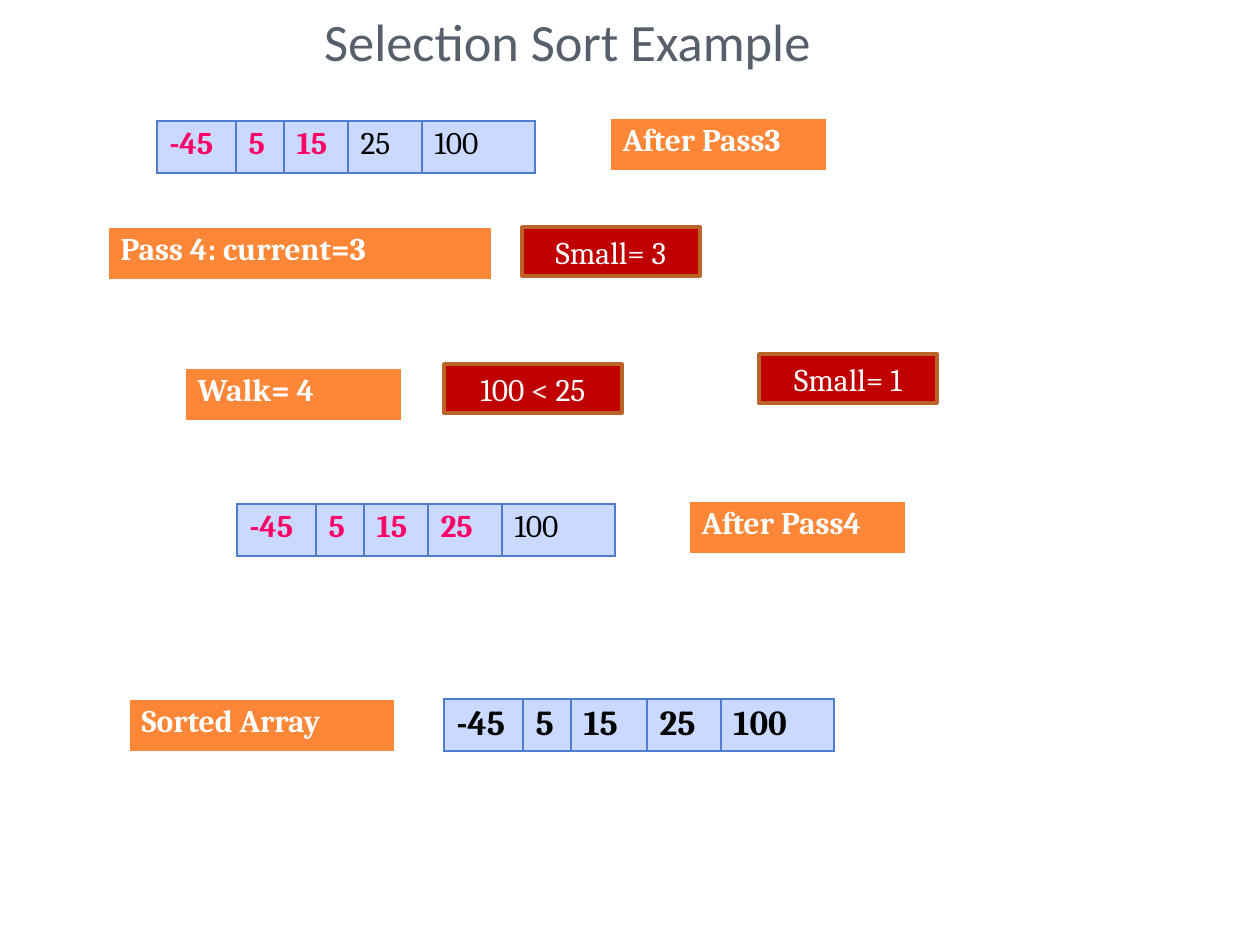
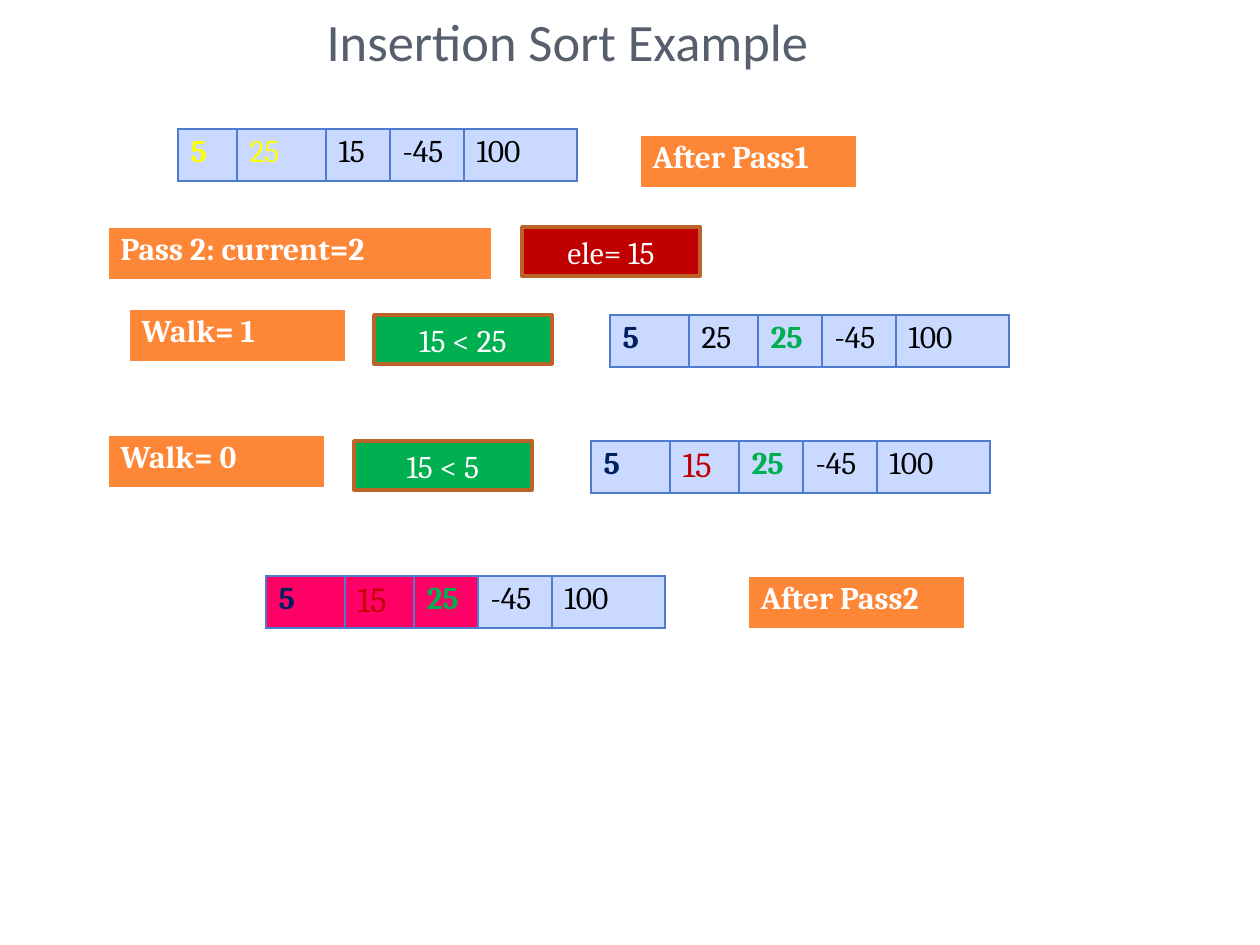
from lxml.etree import SubElement
from pptx import Presentation
from pptx.dml.color import RGBColor as Rgb
from pptx.enum.shapes import MSO_SHAPE as Shape
from pptx.enum.text import MSO_ANCHOR as Anchor, PP_ALIGN as Align
from pptx.oxml.ns import qn
from pptx.util import Inches, Pt

COLORS = {
    "title": "575F6D", "label": "FE8637", "white": "FFFFFF", "black": "000000",
    "red": "C00000", "green": "00B050", "brown": "BB6328", "cell": "CAD9FF",
    "grid": "4F7CCE", "pink": "FF0066", "yellow": "FFFF00", "navy": "002060",
}
PX_PER_INCH = 126
LABEL_HEIGHT, ARRAY_HEIGHT = 54, 52
BOX_WIDTH, BOX_HEIGHT = 178, 49
LABEL_WIDTH, PASS_WIDTH, SORTED_WIDTH = 217, 384, 266

SELECTION_COLUMNS = (79, 48, 64, 74, 113)
FINAL_COLUMNS = (79, 48, 76, 74, 113)
FIRST_COLUMNS = (59, 89, 64, 74, 113)
INSERTION_COLUMNS = (79, 69, 64, 74, 113)

PLAIN = {"color": "black"}
FINAL = {"color": "black", "bold": True, "size": 20}
PLACED = {"color": "pink", "bold": True}
FIRST = {"color": "yellow", "bold": True}
SECOND = {"color": "yellow"}
KEPT = {"color": "navy", "bold": True}
INSERTED = {"color": "red", "size": 20}
SHIFTED = {"color": "green", "bold": True}


def px(length):
    """Turn pixels into EMU."""
    return round(Inches(length / PX_PER_INCH))


def rgb(name):
    """Look up a colour by name."""
    return Rgb.from_string(COLORS[name])


def write(frame, text, color="white", size=18, bold=False, font="Cambria",
          align=Align.LEFT, spacing=None):
    """Put one formatted paragraph into a text frame."""
    para = frame.paragraphs[0]
    para.alignment = align
    para.line_spacing = spacing
    span = para.add_run()
    span.text = text
    span.font.name, span.font.size, span.font.bold = font, Pt(size), bold
    span.font.color.rgb = rgb(color)


def add_borders(cell, color, bottom):
    """Draw the four sides of a table cell."""
    properties = cell._tc.get_or_add_tcPr()
    for side in "LRTB":
        width = bottom if side == "B" else 0.96
        line = SubElement(properties, qn(f"a:ln{side}"), w=str(Pt(width)))
        fill = SubElement(line, qn("a:solidFill"))
        SubElement(fill, qn("a:srgbClr"), val=COLORS[color])


class SortDeck:
    """Holds the deck, its style and the current page."""

    def __init__(self):
        """Start an empty deck."""
        self.deck = Presentation()
        self.deck.slide_width, self.deck.slide_height = Inches(10), Inches(7.5)
        self.page = None

    def add_page(self, title):
        """Add a page with its title."""
        self.page = self.deck.slides.add_slide(self.deck.slide_layouts[6])
        frame = self.page.shapes.add_textbox(px(59), 0, px(1029), px(81)).text_frame
        frame.word_wrap = True
        frame.vertical_anchor = Anchor.MIDDLE
        write(frame, title, color="title", size=30, font="Calibri", align=Align.CENTER)

    def add_row(self, left, top, height, columns, cells, border, bottom=0.96):
        """Add a one-row table from (text, format, fill) cells."""
        table = self.page.shapes.add_table(
            1, len(columns), px(left), px(top), px(sum(columns)), px(height)).table
        table.first_row = table.horz_banding = False
        for index, (width, (text, style, fill)) in enumerate(zip(columns, cells)):
            table.columns[index].width = px(width)
            cell = table.cell(0, index)
            add_borders(cell, border, bottom)
            cell.fill.solid()
            cell.fill.fore_color.rgb = rgb(fill)
            write(cell.text_frame, text, spacing=0.93, **style)

    def add_label(self, left, top, text, width=LABEL_WIDTH):
        """Add an orange step label."""
        self.add_row(left, top, LABEL_HEIGHT, (width,),
                     [(text, {"bold": True}, "label")], "white", bottom=3)

    def add_array(self, left, top, columns, values, styles, highlighted=0):
        """Add an array; values without a style of their own are plain."""
        styles = list(styles) + [PLAIN] * (len(values) - len(styles))
        cells = [(str(value), style, "pink" if index < highlighted else "cell")
                 for index, (value, style) in enumerate(zip(values, styles))]
        self.add_row(left, top, ARRAY_HEIGHT, columns, cells, "grid")

    def add_box(self, left, top, text, fill="red"):
        """Add a box with a variable or a comparison."""
        box = self.page.shapes.add_shape(
            Shape.RECTANGLE, px(left), px(top), px(BOX_WIDTH), px(BOX_HEIGHT))
        box.shadow.inherit = False
        box.fill.solid()
        box.fill.fore_color.rgb = rgb(fill)
        box.line.color.rgb = rgb("brown")
        box.line.width = Pt(2)
        box.text_frame.word_wrap = True
        box.text_frame.vertical_anchor = Anchor.MIDDLE
        write(box.text_frame, text, align=Align.CENTER)


def add_selection_sort(sort):
    """Build the last pass of the selection sort."""
    values = (-45, 5, 15, 25, 100)
    sort.add_page("Selection Sort Example ")
    sort.add_array(157, 121, SELECTION_COLUMNS, values, [PLACED] * 3)
    sort.add_label(610, 118, "After Pass3")
    sort.add_label(108, 227, "Pass 4: current=3", PASS_WIDTH)
    sort.add_box(522, 227, "Small= 3")
    sort.add_label(185, 368, "Walk= 4")
    sort.add_box(444, 364, "100 < 25")
    sort.add_box(759, 354, "Small= 1")
    sort.add_array(237, 504, SELECTION_COLUMNS, values, [PLACED] * 4)
    sort.add_label(689, 501, "After Pass4")
    sort.add_label(129, 699, "Sorted Array", SORTED_WIDTH)
    sort.add_array(444, 699, FINAL_COLUMNS, values, [FINAL] * 5)


def add_insertion_sort(sort):
    """Build the second pass of the insertion sort."""
    inserted = (5, 15, 25, -45, 100)
    styles = (KEPT, INSERTED, SHIFTED)
    sort.add_page("Insertion Sort Example ")
    sort.add_array(178, 129, FIRST_COLUMNS, (5, 25, 15, -45, 100), (FIRST, SECOND))
    sort.add_label(640, 135, "After Pass1")
    sort.add_label(108, 227, "Pass 2: current=2", PASS_WIDTH)
    sort.add_box(522, 227, "ele= 15")
    sort.add_label(129, 309, "Walk= 1")
    sort.add_box(374, 315, "15 < 25", "green")
    sort.add_array(610, 315, INSERTION_COLUMNS, (5, 25, 25, -45, 100),
                   (KEPT, PLAIN, SHIFTED))
    sort.add_label(108, 435, "Walk= 0")
    sort.add_box(354, 441, "15 < 5", "green")
    sort.add_array(591, 441, INSERTION_COLUMNS, inserted, styles)
    sort.add_array(266, 576, INSERTION_COLUMNS, inserted, styles, highlighted=3)
    sort.add_label(748, 576, "After Pass2")


def main():
    """Build and save the deck."""
    sort = SortDeck()
    add_selection_sort(sort)
    add_insertion_sort(sort)
    sort.deck.save("out.pptx")


if __name__ == "__main__":
    main()
